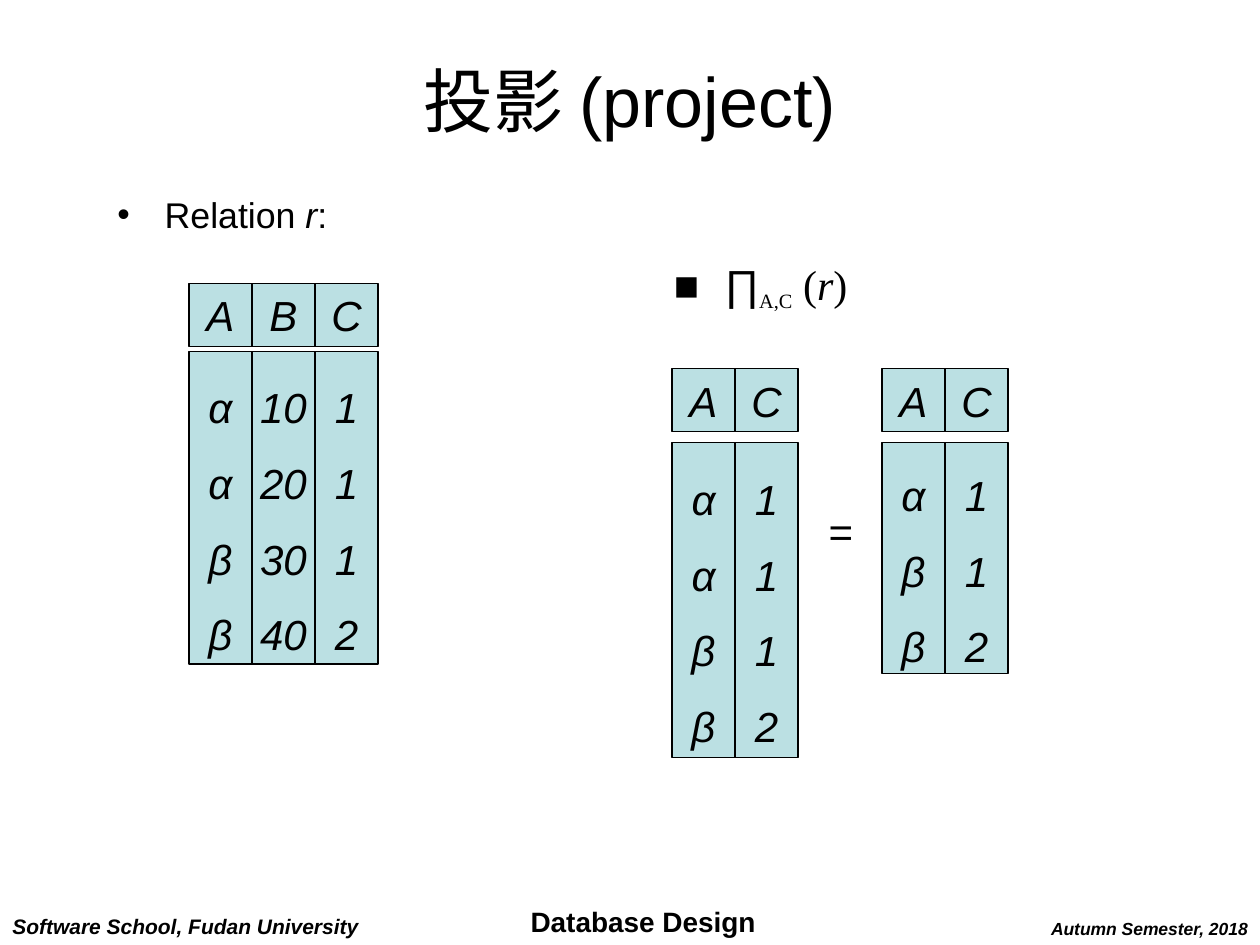
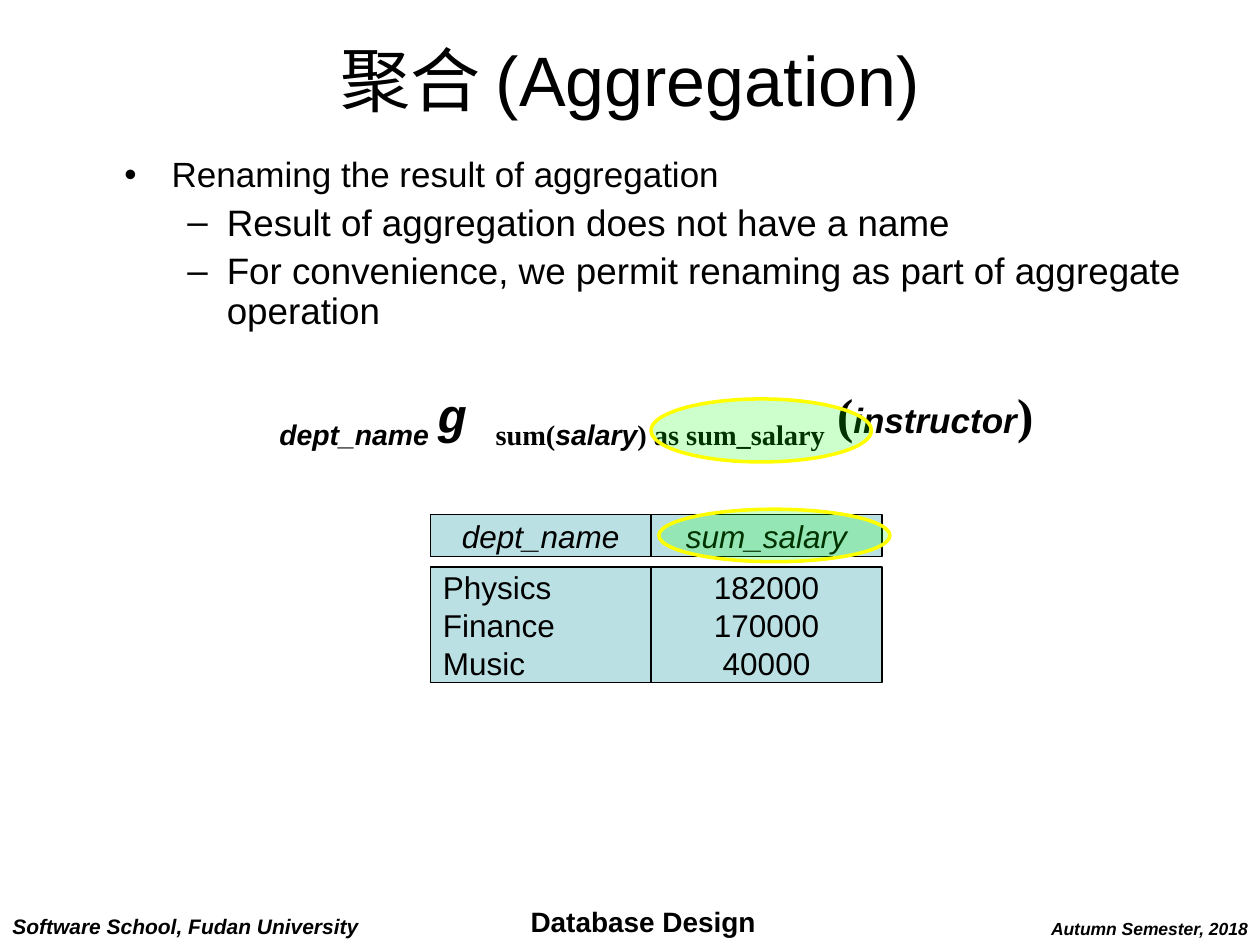
"""Build two database slides: projection and aggregation."""
from lxml import etree
from pptx import Presentation
from pptx.dml.color import RGBColor
from pptx.enum import shapes, text
from pptx.oxml import ns
from pptx.util import Pt

BLACK = RGBColor(0, 0, 0)
CELL = RGBColor(0xBB, 0xE0, 0xE3)
MARK_FILL = RGBColor(0, 0xFF, 0)
MARK_LINE = RGBColor(0xFF, 0xFF, 0)
SANS, SERIF, MONO = "Arial", "Times New Roman", "Courier New"
LEFT, CENTER = text.PP_ALIGN.LEFT, text.PP_ALIGN.CENTER
TOP, MIDDLE = text.MSO_ANCHOR.TOP, text.MSO_ANCHOR.MIDDLE
SUB = -25000

FOOTERS = [
    ("Autumn Semester, 2018", (583, 520.8, 147.5, 19.2), 10, True, CENTER),
    ("Database Design", (277.5, 513.5, 180, 26.5), 16, False, CENTER),
    ("Software School, Fudan University", (0, 518.5, 230, 21.5), 12, True, LEFT),
]

RELATION = [[("Relation", {}), (" r", {"italic": True}), (":", {})]]
PROJECTION = [[
    ("∏", {}),
    ("A,C", {"name": SERIF, "size": 20, "baseline": SUB}),
    (" (", {"name": SERIF}),
    ("r", {"name": SERIF, "italic": True}),
    (")", {"name": SERIF}),
]]
PROJECT_TABLES = [
    (108, 162, 201, 178.5, {"A": "ααββ", "B": ["10", "20", "30", "40"], "C": "1112"}),
    (384, 210.75, 252.75, 180, {"A": "ααββ", "C": "1112"}),
    (504, 210.75, 252.75, 132, {"A": "αββ", "C": "112"}),
]

RENAMING = [
    "Renaming the result of aggregation",
    "Result of aggregation does not have a name",
    "For convenience, we permit renaming as part of aggregate operation",
]
FORMULA = [[
    ("dept_name ", {"italic": True, "baseline": SUB}),
    ("g ", {"name": MONO, "italic": True}),
    ("sum(", {"name": SERIF, "baseline": SUB}),
    ("salary", {"italic": True, "baseline": SUB}),
    (") as sum_salary", {"name": SERIF, "baseline": SUB}),
    (" (", {"name": SERIF}),
    ("instructor", {"size": 20, "italic": True}),
    (")", {"name": SERIF}),
]]
SALARY_COLUMNS = [
    ("dept_name", ["Physics", "Finance", "Music"], 126, LEFT),
    ("sum_salary", ["182000", "170000", "40000"], 132, CENTER),
]
MARKS = [(376.5, 291, 132, 30), (372, 228, 126, 36)]


def style_run(r, size, name=SANS, bold=False, italic=False, baseline=0):
    font = r.font
    font.name, font.size, font.bold, font.italic = name, Pt(size), bold, italic
    font.color.rgb = BLACK
    if baseline:
        r._r.get_or_add_rPr().set("baseline", str(baseline))


def write(sp, paragraphs, size, align=LEFT, anchor=TOP, wrap=True, spacing=None, **style):
    tf = sp.text_frame
    tf.word_wrap, tf.vertical_anchor = wrap, anchor
    for i, content in enumerate(paragraphs):
        p = tf.add_paragraph() if i else tf.paragraphs[0]
        p.alignment = align
        if spacing:
            p.line_spacing = spacing
        parts = [(content, {})] if isinstance(content, str) else content
        for words, changes in parts:
            r = p.add_run()
            r.text = words
            style_run(r, **{"size": size, **style, **changes})
    return tf.paragraphs


def add_text(s, box, paragraphs, size, **options):
    return write(s.shapes.add_textbox(*map(Pt, box)), paragraphs, size, **options)


def add_bullet(p, char, margin, hanging):
    pPr = p._p.get_or_add_pPr()
    pPr.set("marL", str(Pt(margin)))
    pPr.set("indent", str(-Pt(hanging)))
    etree.SubElement(pPr, ns.qn("a:buFont")).set("typeface", SANS)
    etree.SubElement(pPr, ns.qn("a:buChar")).set("char", char)


def add_outlined(s, kind, box, fill, line, width):
    sp = s.shapes.add_shape(kind, *map(Pt, box))
    sp.shadow.inherit = False
    sp.fill.solid()
    sp.fill.fore_color.rgb = fill
    sp.line.color.rgb = line
    sp.line.width = Pt(width)
    return sp


def add_cell(s, box, paragraphs, size, align=CENTER, **options):
    sp = add_outlined(s, shapes.MSO_SHAPE.RECTANGLE, box, CELL, BLACK, 0.75)
    write(sp, paragraphs, size, align=align, anchor=MIDDLE, wrap=False, **options)


def add_mark(s, box):
    sp = add_outlined(s, shapes.MSO_SHAPE.OVAL, box, MARK_FILL, MARK_LINE, 2)
    color = sp.fill._xPr.find(ns.qn("a:solidFill"))[0]
    etree.SubElement(color, ns.qn("a:alpha")).set("val", "20000")


def add_slide(prs, title, title_top):
    s = prs.slides.add_slide(prs.slide_layouts[6])
    for words, box, size, italic, align in FOOTERS:
        add_text(s, box, [words], size, align=align, bold=True, italic=italic)
    add_text(s, (36, title_top, 648, 90), [title], 40, align=CENTER, anchor=MIDDLE)
    return s


def build_project(prs):
    s = add_slide(prs, "投影 (project)", 12)
    add_bullet(add_text(s, (60, 106.5, 540, 32.5), RELATION, 20.4)[0], "•", 27, 27)
    side = 36
    for left, head_top, body_top, height, columns in PROJECT_TABLES:
        for i, (head, values) in enumerate(columns.items()):
            x = left + i * side
            add_cell(s, (x, head_top, side, side), [head], 24, italic=True)
            add_cell(s, (x, body_top, side, height), values, 24, spacing=1.5, italic=True)
    add_text(s, (466.5, 285, 28, 36), ["="], 24, align=CENTER, anchor=MIDDLE, wrap=False)
    add_bullet(add_text(s, (378, 144, 132, 32.5), PROJECTION, 24)[0], "■", 29, 29)


def build_aggregation(prs):
    s = add_slide(prs, "聚合 (Aggregation)", 0)
    first, *details = add_text(s, (64, 86.5, 638, 142), RENAMING, 21, spacing=0.9)
    add_bullet(first, "•", 27, 27)
    first.runs[0].font.size = Pt(20)
    for p in details:
        p.level = 1
        add_bullet(p, "–", 58.5, 22.5)
        p.space_before = Pt(5.2)
    add_text(s, (96, 216, 558, 45), FORMULA, 28, align=CENTER, bold=True)
    x = 246
    for head, values, width, align in SALARY_COLUMNS:
        add_cell(s, (x, 294, width, 24), [head], 18, italic=True)
        add_cell(s, (x, 324, width, 66), values, 18, align=align)
        x += width
    for box in MARKS:
        add_mark(s, box)


def main():
    prs = Presentation()
    prs.slide_width, prs.slide_height = Pt(720), Pt(540)
    build_project(prs)
    build_aggregation(prs)
    prs.save("out.pptx")


if __name__ == "__main__":
    main()
